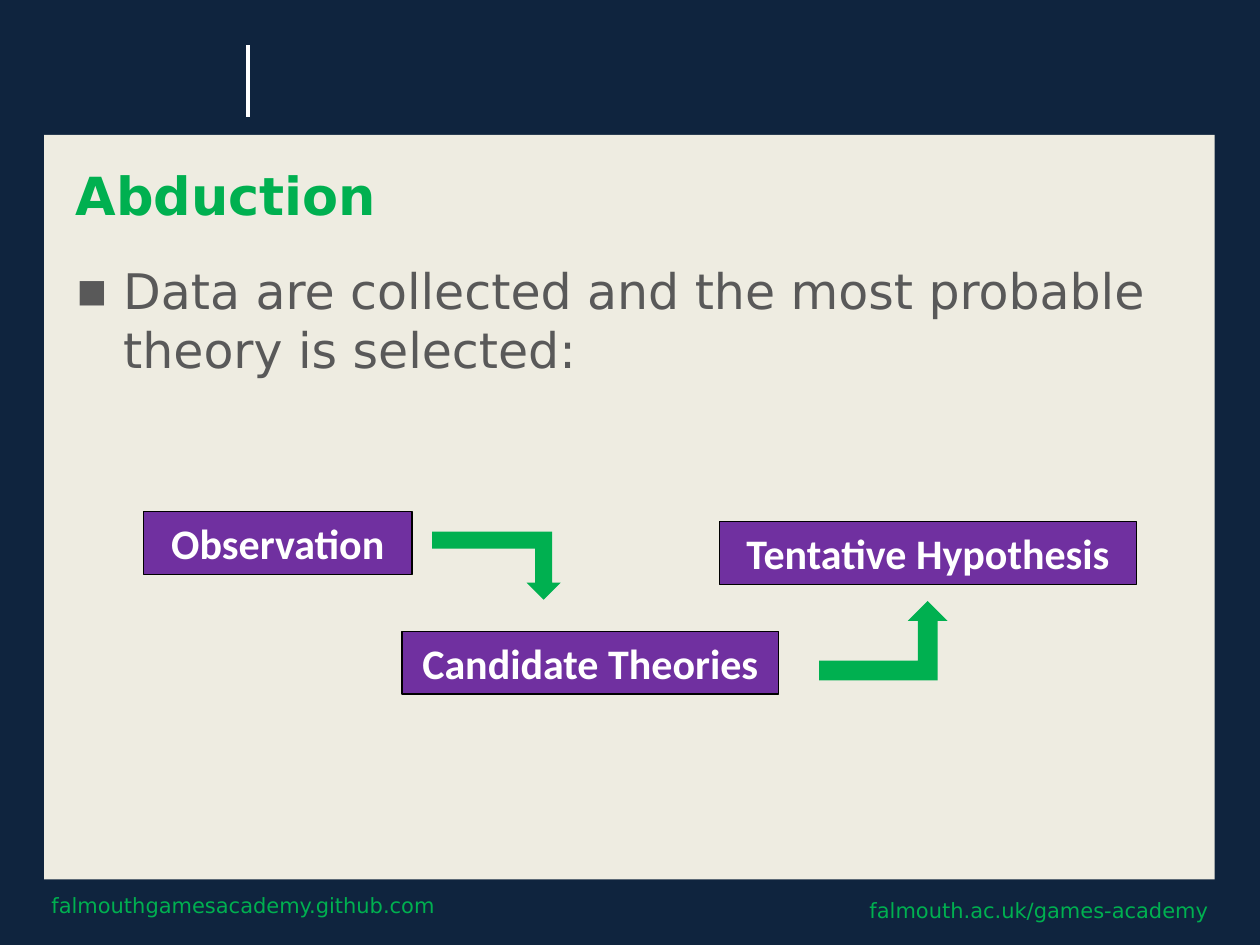
from lxml.etree import SubElement
from pptx import Presentation
from pptx.dml.color import RGBColor
from pptx.enum.shapes import MSO_CONNECTOR, MSO_SHAPE
from pptx.enum.text import MSO_ANCHOR, MSO_AUTO_SIZE, PP_ALIGN
from pptx.oxml.ns import qn
from pptx.util import Inches, Pt

COLORS = {
    "navy": "0F243E",
    "cream": "EEECE1",
    "green": "00B050",
    "purple": "7030A0",
    "gray": "595959",
    "white": "FFFFFF",
    "black": "000000",
}
BODY_FONT = "DejaVu Sans"
BOX_FONT = "Calibri"
STAGE_HEIGHT = 0.5

# text, left, top, width
STAGES = [
    ("Observation", 1.14, 4.06, 2.13),
    ("Candidate Theories", 3.19, 5.01, 2.99),
    ("Tentative Hypothesis", 5.71, 4.14, 3.31),
]
# text, left, top, width, alignment
FOOTERS = [
    ("falmouth.ac.uk/games-academy", 6.57, 7.02, 3.12, PP_ALIGN.RIGHT),
    ("falmouthgamesacademy.github.com", 0.31, 6.98, 3.83, PP_ALIGN.LEFT),
]


def color(name):
    return RGBColor.from_string(COLORS[name])


def inches(*lengths):
    return [Inches(length) for length in lengths]


def write_text(shape, text, size, color_name, font=BODY_FONT, bold=False,
               align=PP_ALIGN.LEFT, anchor=MSO_ANCHOR.MIDDLE):
    frame = shape.text_frame
    frame_format = {"word_wrap": True, "auto_size": MSO_AUTO_SIZE.NONE,
                    "vertical_anchor": anchor}
    for name, value in frame_format.items():
        setattr(frame, name, value)
    paragraph = frame.paragraphs[0]
    paragraph.alignment = align
    run = paragraph.add_run()
    run.text = text
    for name, value in {"name": font, "size": Pt(size), "bold": bold}.items():
        setattr(run.font, name, value)
    run.font.color.rgb = color(color_name)
    return paragraph


def add_filled_shape(slide, kind, box, fill):
    shape = slide.shapes.add_shape(kind, *inches(*box))
    shape.shadow.inherit = False
    shape.fill.solid()
    shape.fill.fore_color.rgb = color(fill)
    shape.line.fill.background()
    return shape


def add_header_rule(slide):
    rule = slide.shapes.add_connector(
        MSO_CONNECTOR.STRAIGHT, *inches(1.97, 0.36, 1.97, 0.93))
    rule.line.color.rgb = color("white")
    rule.line.width = Pt(2.5)
    SubElement(rule._element.spPr, qn("a:effectLst"))


def add_footer(slide, text, left, top, width, align):
    box = slide.shapes.add_textbox(*inches(left, top, width, 0.4))
    write_text(box, text, 12, "green", align=align)


def place_title(slide, text):
    """Position the title placeholder in front of the panel."""
    title = slide.shapes.title
    title.left, title.top, title.width, title.height = inches(0.5, 1.23, 9, 0.63)
    write_text(title, text, 30, "green", bold=True)
    slide.shapes._spTree.append(title._element)


def add_bullet_text(slide, text):
    box = slide.shapes.add_textbox(*inches(0.5, 2.02, 9, 4.8))
    paragraph = write_text(box, text, 28, "gray", anchor=MSO_ANCHOR.TOP)
    properties = paragraph._p.get_or_add_pPr()
    properties.set("marL", str(Inches(0.38)))
    properties.set("indent", str(-Inches(0.38)))
    SubElement(properties, qn("a:buFont")).set("typeface", BODY_FONT)
    SubElement(properties, qn("a:buChar")).set("char", "▪")


def add_stage(slide, text, left, top, width):
    stage = add_filled_shape(slide, MSO_SHAPE.RECTANGLE,
                             (left, top, width, STAGE_HEIGHT), "purple")
    stage.line.color.rgb = color("black")
    stage.line.width = Pt(0.75)
    write_text(stage, text, 24, "white", BOX_FONT, True, PP_ALIGN.CENTER)


def add_bent_arrow(slide, box, points_down=False):
    arrow = add_filled_shape(slide, MSO_SHAPE.BENT_UP_ARROW, box, "green")
    if points_down:
        arrow._element.spPr.find(qn("a:xfrm")).set("flipV", "1")


def main():
    presentation = Presentation()
    presentation.slide_width, presentation.slide_height = inches(10, 7.5)
    slide = presentation.slides.add_slide(presentation.slide_layouts[5])
    slide.background.fill.solid()
    slide.background.fill.fore_color.rgb = color("navy")

    for footer in FOOTERS:
        add_footer(slide, *footer)
    add_header_rule(slide)
    add_filled_shape(slide, MSO_SHAPE.RECTANGLE, (0.35, 1.07, 9.29, 5.91), "cream")
    place_title(slide, "Abduction")
    add_bullet_text(
        slide, "Data are collected and the most probable theory is selected:")
    for stage in STAGES:
        add_stage(slide, *stage)
    add_bent_arrow(slide, (6.5, 4.77, 1.02, 0.63))
    add_bent_arrow(slide, (3.43, 4.22, 1.02, 0.54), points_down=True)
    presentation.save("out.pptx")


if __name__ == "__main__":
    main()
